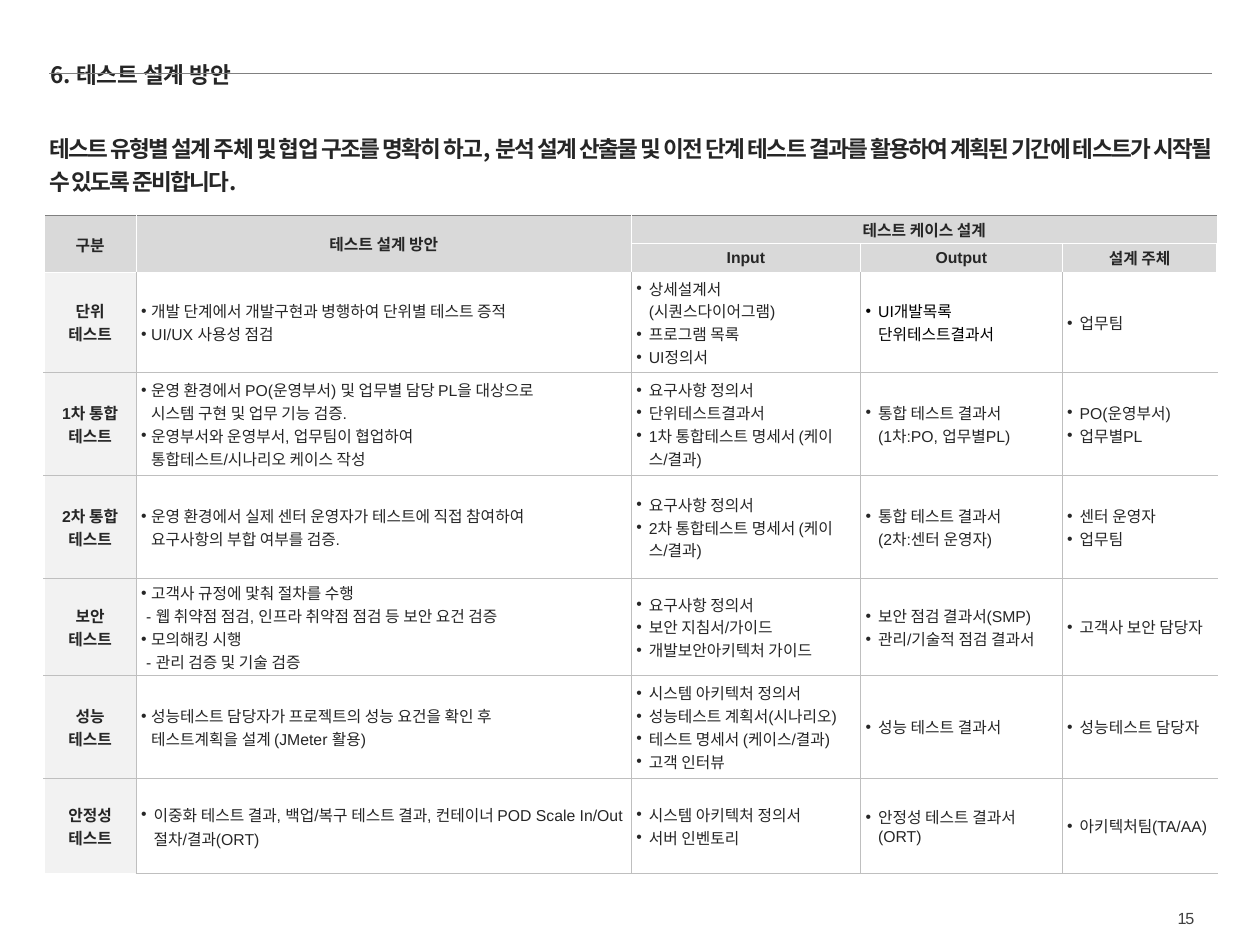
from lxml import etree
from pptx import Presentation
from pptx.dml.color import RGBColor
from pptx.enum.dml import MSO_LINE
from pptx.enum.shapes import MSO_CONNECTOR
from pptx.enum.text import MSO_ANCHOR, MSO_AUTO_SIZE, PP_ALIGN
from pptx.oxml.ns import qn
from pptx.util import Inches, Pt

LEFT, CENTER, RIGHT, JUSTIFY = PP_ALIGN.LEFT, PP_ALIGN.CENTER, PP_ALIGN.RIGHT, PP_ALIGN.JUSTIFY
TOP, MIDDLE = MSO_ANCHOR.TOP, MSO_ANCHOR.MIDDLE
NO_FIT = MSO_AUTO_SIZE.NONE
STRAIGHT = MSO_CONNECTOR.STRAIGHT
ROUND_DOT = MSO_LINE.ROUND_DOT

INK = RGBColor(0x26, 0x26, 0x26)
BLACK = RGBColor(0x00, 0x00, 0x00)
WHITE = RGBColor(0xFF, 0xFF, 0xFF)
PAGE_INK = RGBColor(0x40, 0x40, 0x40)
RULE = RGBColor(0x80, 0x80, 0x80)
GRID = RGBColor(0xBF, 0xBF, 0xBF)
HEADER_FILL = RGBColor(0xD9, 0xD9, 0xD9)
LABEL_FILL = RGBColor(0xF2, 0xF2, 0xF2)

LATIN, KOREAN = "Arial", "Noto Sans CJK KR"

TITLE = "6. 테스트 설계 방안"
MESSAGE = ("테스트 유형별 설계 주체 및 협업 구조를 명확히 하고, 분석 설계 산출물 및 이전 단계 테스트 결과를 "
           "활용하여 계획된 기간에 테스트가 시작될 수 있도록 준비합니다.")
PAGE_NUMBER = "15"

HEADERS = [
    ["구분", "테스트 설계 방안", "테스트 케이스 설계", "", ""],
    ["", "", "Input", "Output", "설계 주체"],
]
MERGES = [((0, 0), (1, 0)), ((0, 1), (1, 1)), ((0, 2), (0, 4))]

TESTS = [
    (["단위", "테스트"],
     ["개발 단계에서 개발구현과 병행하여 단위별 테스트 증적", "UI/UX 사용성 점검"],
     ["상세설계서\n(시퀀스다이어그램)", "프로그램 목록", "UI정의서"],
     ["UI개발목록\n단위테스트결과서"],
     ["업무팀"]),
    (["1차 통합 테스트"],
     ["운영 환경에서 PO(운영부서) 및 업무별 담당 PL을 대상으로\n시스템 구현 및 업무 기능 검증.",
      "운영부서와 운영부서, 업무팀이 협업하여\n통합테스트/시나리오 케이스 작성"],
     ["요구사항 정의서", "단위테스트결과서", "1차 통합테스트 명세서 (케이스/결과)"],
     ["통합 테스트 결과서\n(1차:PO, 업무별PL)"],
     ["PO(운영부서)", "업무별PL"]),
    (["2차 통합 테스트"],
     ["운영 환경에서 실제 센터 운영자가 테스트에 직접 참여하여\n요구사항의 부합 여부를 검증."],
     ["요구사항 정의서", "2차 통합테스트 명세서 (케이스/결과)"],
     ["통합 테스트 결과서\n(2차:센터 운영자)"],
     ["센터 운영자", "업무팀"]),
    (["보안", "테스트"],
     ["고객사 규정에 맟춰 절차를 수행", "- 웹 취약점 점검, 인프라 취약점 점검 등 보안 요건 검증",
      "모의해킹 시행", "- 관리 검증 및 기술 검증"],
     ["요구사항 정의서", "보안 지침서/가이드", "개발보안아키텍처 가이드"],
     ["보안 점검 결과서(SMP)", "관리/기술적 점검 결과서"],
     ["고객사 보안 담당자"]),
    (["성능", "테스트"],
     ["성능테스트 담당자가 프로젝트의 성능 요건을 확인 후\n테스트계획을 설계 (JMeter 활용)"],
     ["시스템 아키텍처 정의서", "성능테스트 계획서(시나리오)", "테스트 명세서 (케이스/결과)", "고객 인터뷰"],
     ["성능 테스트 결과서"],
     ["성능테스트 담당자"]),
    (["안정성", "테스트"],
     ["이중화 테스트 결과, 백업/복구 테스트 결과, 컨테이너 POD Scale In/Out 절차/결과(ORT)"],
     ["시스템 아키텍처 정의서", "서버 인벤토리"],
     ["안정성 테스트 결과서 (ORT)"],
     ["아키텍처팀(TA/AA)"]),
]

COLUMN_WIDTHS = [0.73, 3.93, 1.82, 1.6, 1.23]
ROW_HEIGHTS = [0.19, 0.19, 0.79, 0.82, 0.82, 0.75, 0.82, 0.75]
PLAN_INDENT, ITEM_INDENT, SUB_INDENT = 0.08, 0.1, 0.04


def style_paragraph(para, size, color, bold=False, align=LEFT, latin=LATIN, spacing=None, tracking=0):
    para.alignment = align
    para.space_before = Pt(0)
    if spacing:
        para.line_spacing = spacing
    for span in para.runs:
        span.font.size = Pt(size)
        span.font.bold = bold
        span.font.color.rgb = color
        span.font.name = latin
        properties = span.font._element
        etree.SubElement(properties, qn("a:ea"), typeface=KOREAN)
        if tracking:
            properties.set("spc", str(int(tracking * 100)))


def set_frame(frame, inset_x, inset_y, anchor, wrap=True):
    frame.margin_left = frame.margin_right = Inches(inset_x)
    frame.margin_top = frame.margin_bottom = Inches(inset_y)
    frame.vertical_anchor = anchor
    frame.word_wrap = wrap
    frame.auto_size = NO_FIT


def add_bullet(para, indent):
    properties = para._p.get_or_add_pPr()
    properties.set("marL", str(Inches(indent)))
    properties.set("indent", str(-Inches(indent)))
    etree.SubElement(properties, qn("a:buFont"), typeface=LATIN)
    etree.SubElement(properties, qn("a:buChar"), char="•")


def add_borders(cell, **sides):
    properties = cell._tc.get_or_add_tcPr()
    position = 0
    for side in ("L", "R", "T", "B"):
        if side not in sides:
            continue
        color, width = sides[side]
        line = etree.Element(qn(f"a:ln{side}"), w=str(Pt(width)))
        fill = etree.SubElement(line, qn("a:solidFill"))
        etree.SubElement(fill, qn("a:srgbClr"), val=str(color))
        properties.insert(position, line)
        position += 1


def fill_cell(cell, lines, fill, color=INK, bold=False, indent=None, spacing=None):
    cell.margin_left = cell.margin_right = Inches(0.04)
    cell.margin_top = cell.margin_bottom = Inches(0.02)
    cell.vertical_anchor = MIDDLE
    cell.fill.solid()
    cell.fill.fore_color.rgb = fill
    for index, line in enumerate(lines):
        para = cell.text_frame.paragraphs[0] if index == 0 else cell.text_frame.add_paragraph()
        para.text = line
        if indent and line.startswith("-"):
            para._p.get_or_add_pPr().set("marL", str(Inches(SUB_INDENT)))
        elif indent:
            add_bullet(para, indent)
        style_paragraph(para, 9, color, bold, LEFT if indent else CENTER, spacing=spacing)


def add_test_table(page):
    frame = page.shapes.add_table(len(ROW_HEIGHTS), len(COLUMN_WIDTHS), Inches(0.35), Inches(1.71),
                                  Inches(sum(COLUMN_WIDTHS)), Inches(sum(ROW_HEIGHTS)))
    table = frame.table
    table.first_row = table.horz_banding = False
    for column, width in zip(table.columns, COLUMN_WIDTHS):
        column.width = Inches(width)
    for row, height in zip(table.rows, ROW_HEIGHTS):
        row.height = Inches(height)
    last_column, last_row = len(COLUMN_WIDTHS) - 1, len(ROW_HEIGHTS) - 1

    for r, texts in enumerate(HEADERS):
        for c, text in enumerate(texts):
            cell = table.cell(r, c)
            fill_cell(cell, [text], HEADER_FILL, bold=True, spacing=Pt(14) if c == 0 else None)
            sides = {"T": (WHITE, 0.75) if r else (RULE, 1), "B": (WHITE, 0.75)}
            if c > 0:
                sides["L"] = (WHITE, 0.75)
            if c < last_column:
                sides["R"] = (WHITE, 0.75)
            add_borders(cell, **sides)

    for r, cells in enumerate(TESTS, len(HEADERS)):
        for c, lines in enumerate(cells):
            cell = table.cell(r, c)
            first, last = r == len(HEADERS), r == last_row
            if c == 0:
                fill_cell(cell, lines, LABEL_FILL, bold=True)
            else:
                plan = c == 1 and not last
                fill_cell(cell, lines, WHITE, color=BLACK if first and c == 3 else INK,
                          indent=PLAN_INDENT if plan else ITEM_INDENT,
                          spacing=Pt(14) if last and c == 1 else None)
            sides = {"T": (WHITE if first else GRID, 0.75),
                     "B": (WHITE if last and c == 0 else GRID, 0.75)}
            if c > 0:
                sides["L"] = (GRID, 0.75)
            if c < last_column:
                sides["R"] = (GRID, 0.75)
            add_borders(cell, **sides)

    for start, end in MERGES:
        table.cell(*start).merge(table.cell(*end))


def main():
    deck = Presentation()
    deck.slide_width, deck.slide_height = Inches(10), Inches(7.5)
    page = deck.slides.add_slide(deck.slide_layouts[5])

    rule = page.shapes.add_connector(STRAIGHT, Inches(0.39), Inches(0.58), Inches(9.61), Inches(0.58))
    rule.line.color.rgb = RULE
    rule.line.width = Pt(0.25)
    rule.line.dash_style = ROUND_DOT
    etree.SubElement(rule._element.spPr, qn("a:effectLst"))

    title = page.shapes.title
    title.left, title.top, title.width, title.height = map(Inches, (0.3, 0.43, 5.16, 0.33))
    title.text_frame.text = TITLE
    set_frame(title.text_frame, 0.1, 0.05, TOP)
    style_paragraph(title.text_frame.paragraphs[0], 12.9, INK, True, latin=KOREAN)

    message = page.shapes.add_textbox(*map(Inches, (0.35, 0.99, 9.3, 0.55))).text_frame
    message.text = MESSAGE
    set_frame(message, 0.04, 0.04, TOP)
    style_paragraph(message.paragraphs[0], 12.9, INK, True, JUSTIFY, KOREAN, Pt(18.5), -0.9)

    add_test_table(page)

    number = page.shapes.add_textbox(*map(Inches, (9.34, 7.2, 0.14, 0.16))).text_frame
    number.text = PAGE_NUMBER
    set_frame(number, 0, 0, MIDDLE, wrap=False)
    style_paragraph(number.paragraphs[0], 9.2, PAGE_INK, align=RIGHT, spacing=1.1, tracking=-0.6)

    deck.save("out.pptx")


if __name__ == "__main__":
    main()
